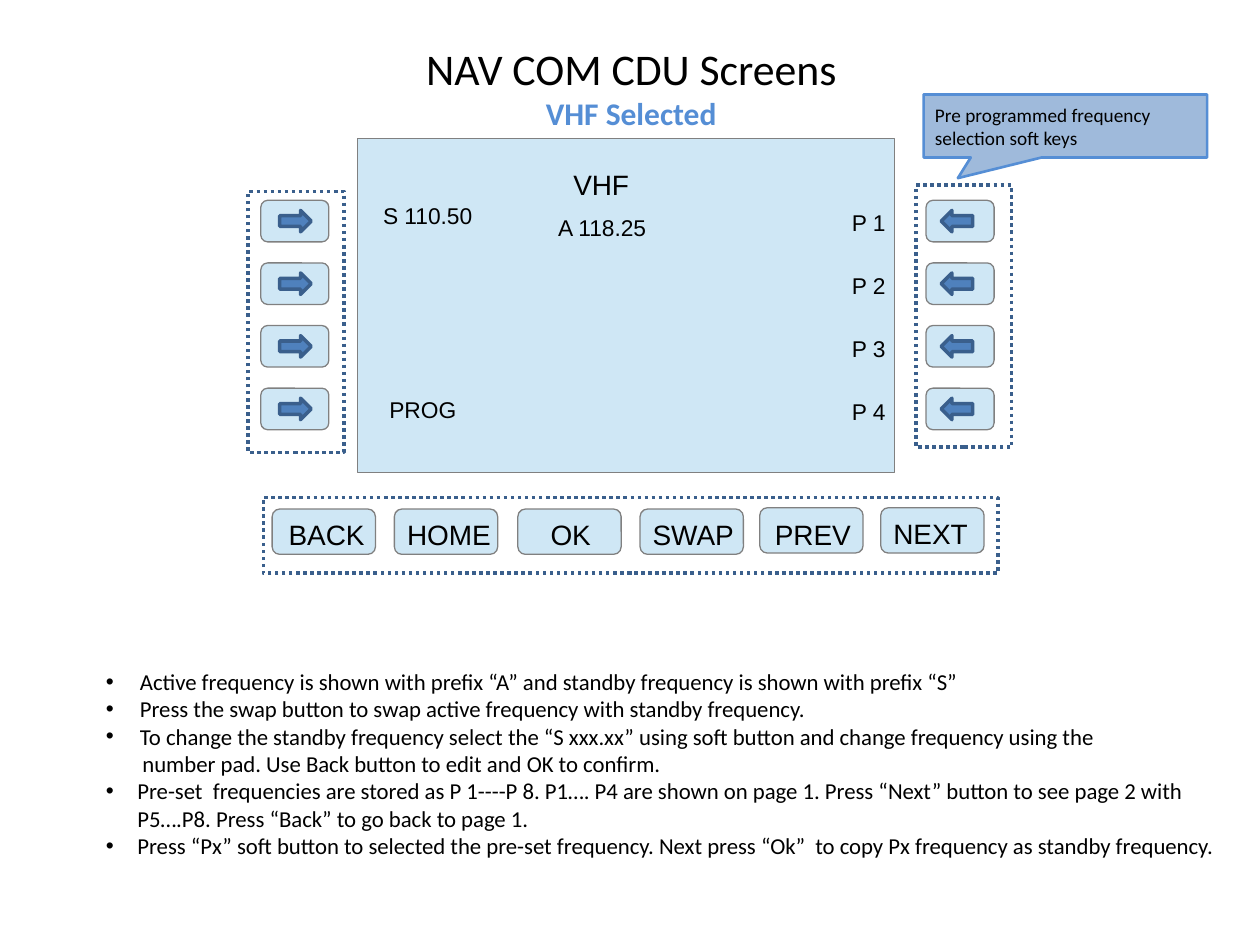
"""Builds the NAV COM CDU slide showing the VHF screen, its keys and usage notes."""
from dataclasses import dataclass
from typing import Optional

from lxml import etree
from pptx import Presentation
from pptx.dml.color import RGBColor
from pptx.enum.dml import MSO_LINE
from pptx.enum.shapes import MSO_SHAPE
from pptx.enum.text import MSO_ANCHOR, MSO_AUTO_SIZE, PP_ALIGN
from pptx.oxml.ns import qn
from pptx.util import Inches, Pt

RECTANGLE = MSO_SHAPE.RECTANGLE
ROUNDED = MSO_SHAPE.ROUNDED_RECTANGLE
RIGHT_ARROW = MSO_SHAPE.RIGHT_ARROW
LEFT_ARROW = MSO_SHAPE.LEFT_ARROW
CALLOUT = MSO_SHAPE.RECTANGULAR_CALLOUT
DOTTED = MSO_LINE.ROUND_DOT
TOP, MIDDLE = MSO_ANCHOR.TOP, MSO_ANCHOR.MIDDLE
LEFT, CENTER = PP_ALIGN.LEFT, PP_ALIGN.CENTER
NO_AUTOFIT = MSO_AUTO_SIZE.NONE

SCREEN_FILL, SCREEN_LINE = "CFE7F5", "808080"
ARROW_FILL, ARROW_LINE = "4F81BD", "3A5F8C"
ACCENT, BLACK = "558ED5", "000000"
KEY_ROWS, KEY_TOP, KEY_PITCH = 4, 1.59, 0.497


@dataclass(frozen=True)
class Box:
    left: float
    top: float
    width: float
    height: float

    def lengths(self) -> tuple:
        return tuple(Inches(value) for value in (self.left, self.top, self.width, self.height))


@dataclass(frozen=True)
class Label:
    text: str
    box: Box
    size: float = 13


@dataclass(frozen=True)
class FunctionKey:
    label: Label
    left: float
    top: float = 4.04


@dataclass(frozen=True)
class KeyColumn:
    key_left: float
    arrow_left: float
    arrow: int
    frame: Box


@dataclass(frozen=True)
class Note:
    text: str
    margin: float = 0.25
    bullet: bool = True


SCREEN = Box(2.84, 1.1, 4.26, 2.65)
FUNCTION_FRAME = Box(2.09, 3.95, 5.83, 0.6)

KEY_COLUMNS = [
    KeyColumn(2.07, 2.22, RIGHT_ARROW, Box(1.97, 1.52, 0.76, 2.07)),
    KeyColumn(7.35, 7.47, LEFT_ARROW, Box(7.27, 1.47, 0.76, 2.08)),
]

FUNCTION_KEYS = [
    FunctionKey(Label("BACK", Box(2.2, 4.07, 0.79, 0.35), 16), 2.16),
    FunctionKey(Label("HOME", Box(3.14, 4.07, 0.85, 0.35), 16), 3.13),
    FunctionKey(Label("OK", Box(4.28, 4.07, 0.5, 0.35), 16), 4.11),
    FunctionKey(Label("SWAP", Box(5.09, 4.07, 0.83, 0.35), 16), 5.08),
    FunctionKey(Label("PREV", Box(6.06, 4.07, 0.79, 0.35), 16), 6.03, 4.03),
    FunctionKey(Label("NEXT", Box(7, 4.06, 0.78, 0.35), 16), 6.99, 4.03),
]

SCREEN_LABELS = [
    Label("VHF", Box(4.46, 1.29, 0.63, 0.35), 16),
    Label("A 118.25", Box(4.34, 1.66, 0.94, 0.3)),
    Label("S 110.50", Box(2.95, 1.56, 0.9, 0.3)),
    Label("PROG", Box(3, 3.1, 0.72, 0.3)),
] + [Label(f"P {row + 1}", Box(6.67, 1.62 + 0.5 * row, 0.45, 0.3)) for row in range(KEY_ROWS)]

NOTES = [
    Note("Active frequency is shown with prefix “A” and standby frequency is shown with prefix “S”", 0.27),
    Note("Press the swap button to swap active frequency with standby frequency.", 0.27),
    Note("To change the standby frequency select the “S xxx.xx” using soft button and change "
         "frequency using the", 0.27),
    Note("number pad. Use Back button to edit and OK to confirm.", 0.29, False),
    Note("Pre-set  frequencies are stored as P 1----P 8. P1…. P4 are shown on page 1. Press “Next” "
         "button to see page 2 with P5….P8. Press “Back” to go back to page 1."),
    Note("Press “Px” soft button to selected the pre-set frequency. Next press “Ok”  to copy Px "
         "frequency as standby frequency."),
]


def color(value: str) -> RGBColor:
    return RGBColor.from_string(value)


def add_run(paragraph, text: str, size: float, font: str, ink: str = BLACK, bold: bool = False) -> None:
    run = paragraph.add_run()
    run.text = text
    run.font.size = Pt(size)
    run.font.name = font
    run.font.bold = bold
    run.font.color.rgb = color(ink)


def set_frame(frame, horizontal: float, vertical: float, anchor, wrap: bool = True) -> None:
    frame.auto_size = NO_AUTOFIT
    frame.word_wrap = wrap
    frame.vertical_anchor = anchor
    frame.margin_left = frame.margin_right = Inches(horizontal)
    frame.margin_top = frame.margin_bottom = Inches(vertical)


def add_shape(slide, kind, box: Box, fill: Optional[str], line: str, width: float):
    shape = slide.shapes.add_shape(kind, *box.lengths())
    shape.shadow.inherit = False
    if fill:
        shape.fill.solid()
        shape.fill.fore_color.rgb = color(fill)
    else:
        shape.fill.background()
    shape.line.color.rgb = color(line)
    shape.line.width = Pt(width)
    return shape


def add_dotted_frame(slide, box: Box) -> None:
    add_shape(slide, RECTANGLE, box, None, ARROW_LINE, 2).line.dash_style = DOTTED


def add_label(slide, label: Label) -> None:
    frame = slide.shapes.add_textbox(*label.box.lengths()).text_frame
    set_frame(frame, 0.09, 0.04, TOP, wrap=False)
    add_run(frame.paragraphs[0], label.text, label.size, "Arial")


def add_key_column(slide, column: KeyColumn) -> None:
    for row in range(KEY_ROWS):
        top = KEY_TOP + row * KEY_PITCH
        add_shape(slide, ROUNDED, Box(column.key_left, top, 0.54, 0.33), SCREEN_FILL, SCREEN_LINE, 0)
        arrow_box = Box(column.arrow_left, top + 0.08, 0.25, 0.17)
        add_shape(slide, column.arrow, arrow_box, ARROW_FILL, ARROW_LINE, 2)
    add_dotted_frame(slide, column.frame)


def add_function_key(slide, key: FunctionKey) -> None:
    add_shape(slide, ROUNDED, Box(key.left, key.top, 0.82, 0.36), SCREEN_FILL, SCREEN_LINE, 0)
    add_label(slide, key.label)


def add_callout(slide) -> None:
    shape = add_shape(slide, CALLOUT, Box(7.33, 0.75, 2.25, 0.5), ARROW_FILL, ACCENT, 1.5)
    shape.adjustments[0], shape.adjustments[1] = -0.379, 0.829
    fill_color = shape._element.spPr.find(qn("a:solidFill")).find(qn("a:srgbClr"))
    etree.SubElement(fill_color, qn("a:alpha")).set("val", "54000")
    set_frame(shape.text_frame, 0.09, 0.05, MIDDLE)
    paragraph = shape.text_frame.paragraphs[0]
    paragraph.alignment = LEFT
    add_run(paragraph, "Pre programmed frequency selection soft keys", 11, "Calibri")


def place(shape, box: Box) -> None:
    shape.left, shape.top, shape.width, shape.height = box.lengths()


def fill_title(title) -> None:
    place(title, Box(0.51, 0.25, 9, 1.25))
    set_frame(title.text_frame, 0.1, 0.08, TOP)
    paragraph = title.text_frame.paragraphs[0]
    paragraph.alignment = CENTER
    add_run(paragraph, "NAV COM CDU Screens", 25, "Calibri")
    paragraph.add_line_break()
    add_run(paragraph, "VHF Selected", 18, "Calibri", ACCENT, True)


def fill_notes(body) -> None:
    place(body, Box(0.75, 5.25, 8.98, 1.84))
    frame = body.text_frame
    set_frame(frame, 0.09, 0.05, TOP)
    for index, note in enumerate(NOTES):
        paragraph = frame.add_paragraph() if index else frame.paragraphs[0]
        paragraph.space_before = Pt(0)
        properties = paragraph._p.get_or_add_pPr()
        properties.set("marL", str(Inches(note.margin)))
        properties.set("indent", str(-Inches(note.margin) if note.bullet else 0))
        if not note.bullet:
            etree.SubElement(properties, qn("a:buNone"))
        add_run(paragraph, note.text, 13, "Calibri")


def main() -> None:
    presentation = Presentation()
    presentation.slide_width, presentation.slide_height = Inches(10), Inches(7.5)
    slide = presentation.slides.add_slide(presentation.slide_layouts[1])
    fill_title(slide.shapes.title)
    fill_notes(slide.placeholders[1])
    add_shape(slide, RECTANGLE, SCREEN, SCREEN_FILL, SCREEN_LINE, 0)
    for column in KEY_COLUMNS:
        add_key_column(slide, column)
    add_dotted_frame(slide, FUNCTION_FRAME)
    for key in FUNCTION_KEYS:
        add_function_key(slide, key)
    for label in SCREEN_LABELS:
        add_label(slide, label)
    add_callout(slide)
    presentation.save("out.pptx")


if __name__ == "__main__":
    main()
